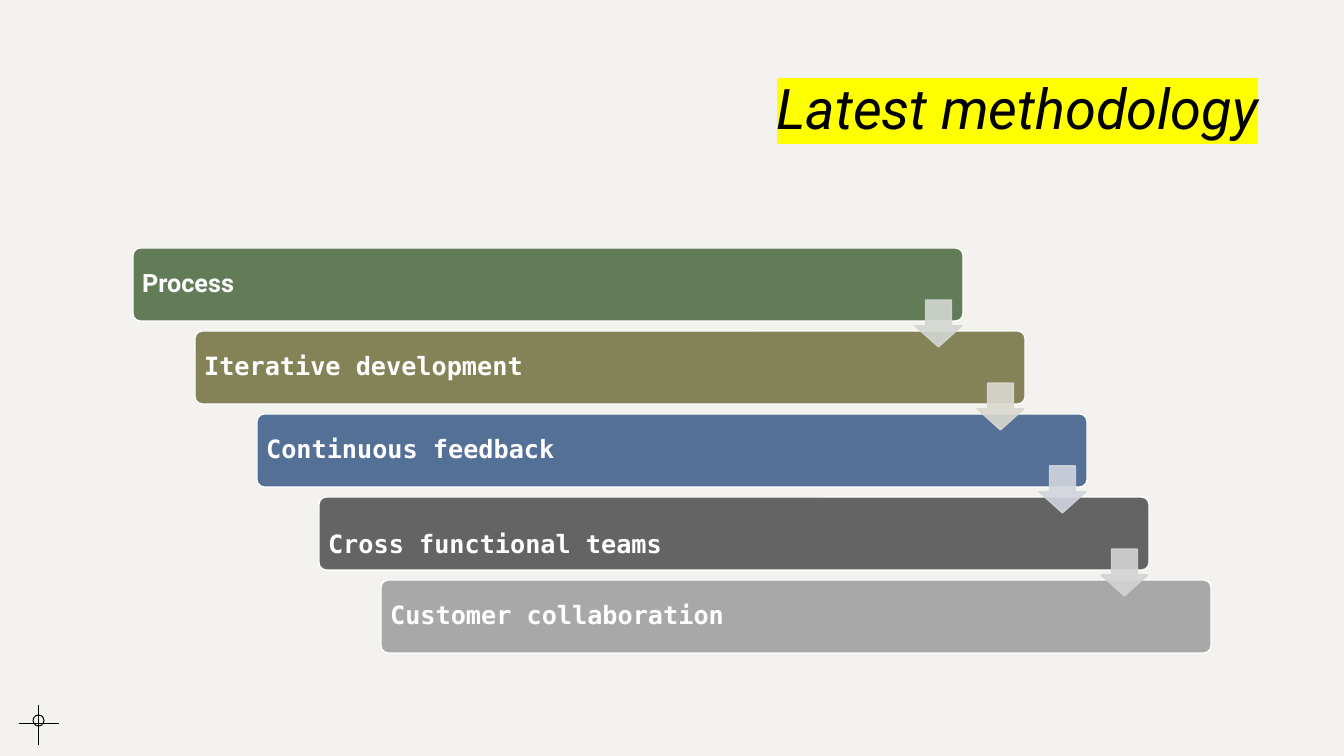
"""Build the "Latest methodology" slide with five staggered process steps."""
from lxml.etree import SubElement
from pptx import Presentation
from pptx.dml.color import RGBColor
from pptx.enum.shapes import MSO_CONNECTOR, MSO_SHAPE
from pptx.enum.text import MSO_ANCHOR, PP_ALIGN
from pptx.oxml import parse_xml
from pptx.oxml.ns import nsdecls, qn
from pptx.util import Pt

PX = 9071.43
STEP_X, STEP_Y = 62, 83
STEPS = [
    ("Process", "627C58", "Roboto", 7),
    ("Iterative development", "848358", "DejaVu Sans Mono", 7),
    ("Continuous feedback", "547096", "DejaVu Sans Mono", 7),
    ("Cross functional teams", "646464", "DejaVu Sans Mono", 31),
    ("Customer collaboration", "A8A8A8", "DejaVu Sans Mono", 7),
]
ARROWS = ["D3D7D1", "D9D9D1", "D1D5DD", "D3D3D3"]


def px(*lengths):
    return [round(n * PX) for n in lengths]


def rgb(color):
    return RGBColor.from_string(color)


prs = Presentation()
prs.slide_width, prs.slide_height = px(1344, 756)
s = prs.slides.add_slide(prs.slide_layouts[6])
s.background.fill.solid()
s.background.fill.fore_color.rgb = rgb("F3F2EE")

tf = s.shapes.add_textbox(*px(134, 40, 1134, 106)).text_frame
tf.word_wrap = True
tf.vertical_anchor = MSO_ANCHOR.BOTTOM
p = tf.paragraphs[0]
p.text = "Latest methodology"
p.alignment = PP_ALIGN.RIGHT
p.line_spacing = 1.2
r = p.runs[0]
r.font.size = Pt(40)
r.font.italic = True
r.font.color.rgb = rgb("000000")
r.font.name = "Roboto"
r.font.fill._xPr.find(qn("a:solidFill")).addnext(parse_xml(
    f'<a:highlight {nsdecls("a")}><a:srgbClr val="FFFF00"/></a:highlight>'))

for ends in [(19, 724, 59, 724), (39, 745, 39, 705)]:
    line = s.shapes.add_connector(MSO_CONNECTOR.STRAIGHT, *px(*ends))
    line.line.color.rgb = rgb("000000")
    line.line.width = Pt(0.75)
    SubElement(line._element.spPr, qn("a:effectLst"))

ring = s.shapes.add_shape(MSO_SHAPE.OVAL, *px(33, 715, 11, 11))
ring.shadow.inherit = False
ring.fill.background()
ring.line.color.rgb = rgb("000000")
ring.line.width = Pt(0.75)

for i, (label, color, font, top) in enumerate(STEPS):
    sp = s.shapes.add_shape(MSO_SHAPE.ROUNDED_RECTANGLE,
                            *px(133 + i * STEP_X, 248 + i * STEP_Y, 830, 73))
    sp.adjustments[0] = 0.1
    sp.shadow.inherit = False
    sp.fill.solid()
    sp.fill.fore_color.rgb = rgb(color)
    sp.line.color.rgb = rgb("FFFFFF")
    sp.line.width = Pt(1)
    tf = sp.text_frame
    tf.word_wrap = True
    tf.vertical_anchor = MSO_ANCHOR.MIDDLE
    tf.margin_left, tf.margin_top, tf.margin_right, tf.margin_bottom = px(7, top, 7, 7)
    p = tf.paragraphs[0]
    p.text = label
    p.alignment = PP_ALIGN.LEFT
    p.line_spacing = 0.9
    r = p.runs[0]
    r.font.size = Pt(18)
    r.font.bold = True
    r.font.name = font
    r.font.color.rgb = rgb("FFFFFF")

for i, color in enumerate(ARROWS):
    sp = s.shapes.add_shape(MSO_SHAPE.DOWN_ARROW,
                            *px(915 + i * STEP_X, 300 + i * STEP_Y, 47, 47))
    sp.adjustments[0] = 0.55
    sp.adjustments[1] = 0.45
    sp.shadow.inherit = False
    sp.fill.solid()
    sp.fill.fore_color.rgb = rgb(color)
    sp.line.color.rgb = rgb(color)
    sp.line.width = Pt(1)
    for clr in sp._element.spPr.iter(qn("a:srgbClr")):
        SubElement(clr, qn("a:alpha"), val="90000")

prs.save("out.pptx")
